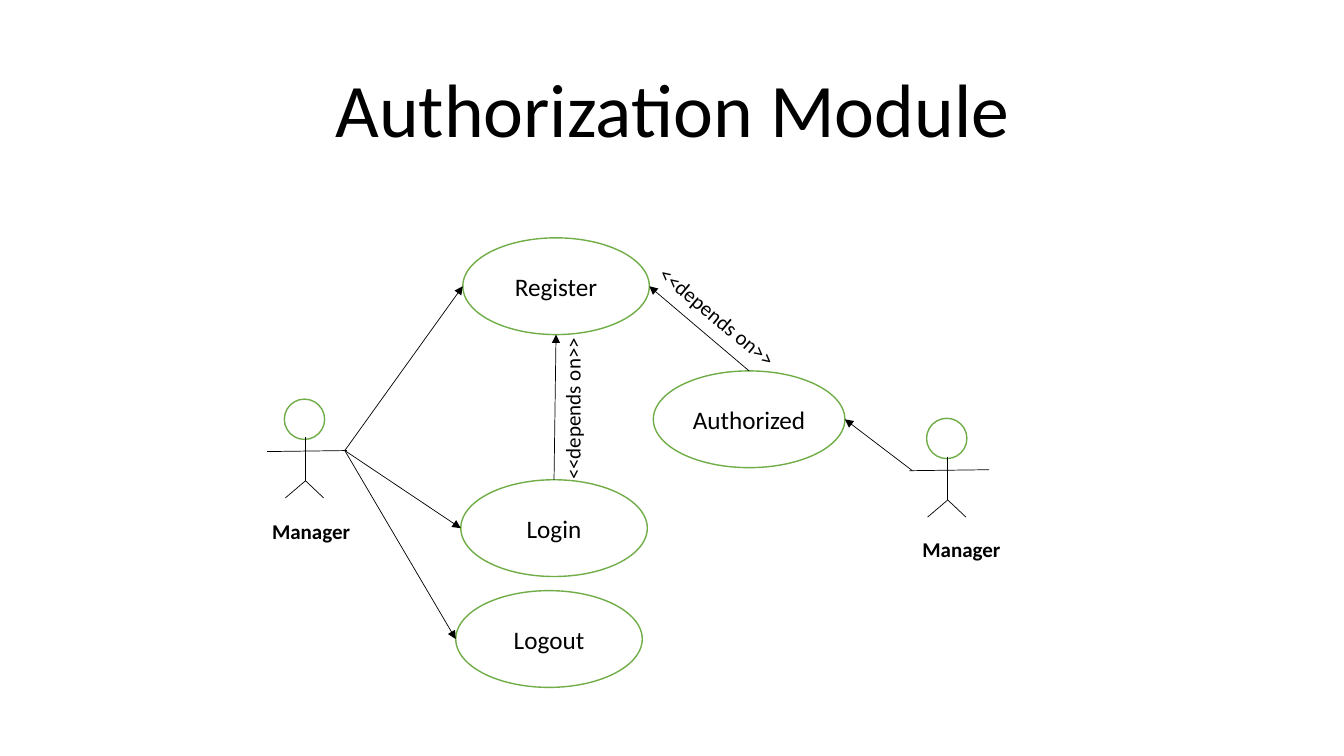
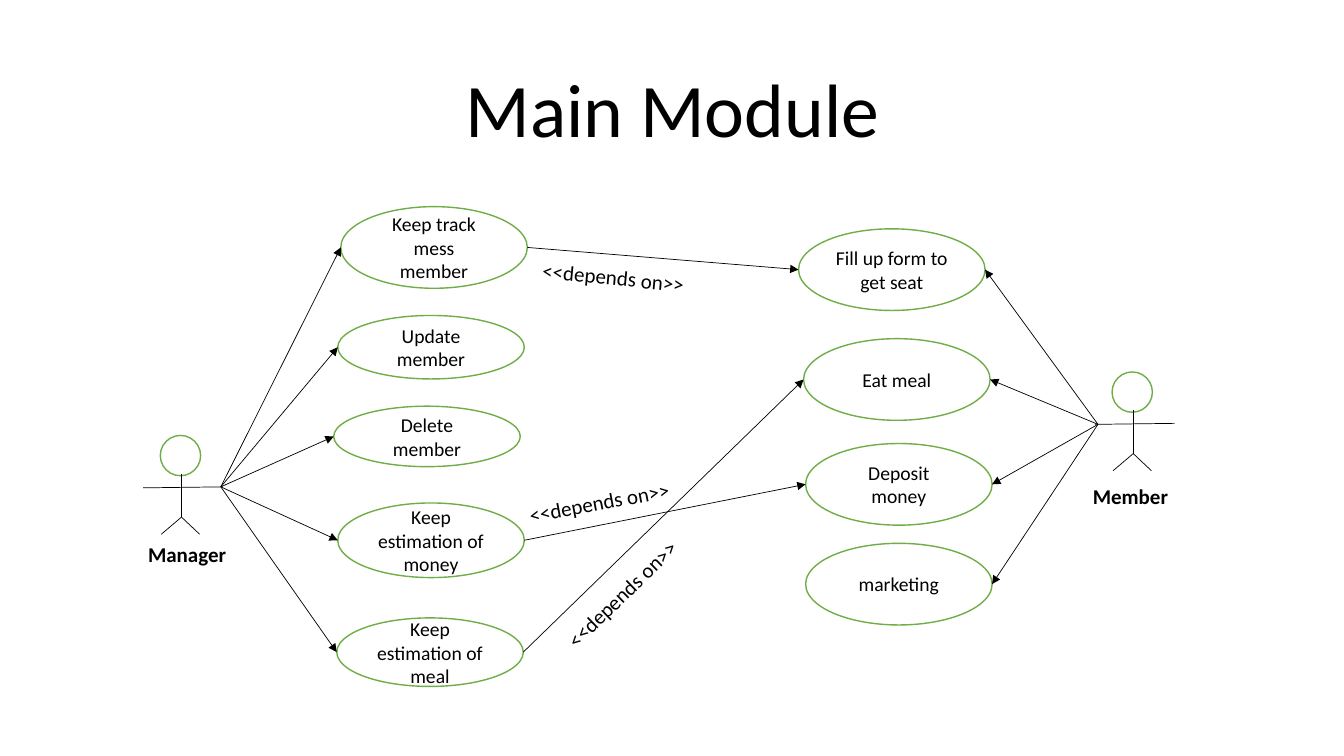
from lxml.etree import SubElement
from pptx import Presentation
from pptx.dml.color import RGBColor
from pptx.enum.shapes import MSO_CONNECTOR, MSO_SHAPE
from pptx.enum.text import MSO_ANCHOR, MSO_AUTO_SIZE, PP_ALIGN
from pptx.oxml.ns import qn
from pptx.util import Inches, Pt

FONT = "Calibri"
BLACK, WHITE, GREEN = "000000", "FFFFFF", "70AD47"
CASE_WIDTH = 1.85
HEAD_SIZE = 0.4
LABEL_HEIGHT = 0.35
DEPENDS_WIDTH = 1.71
LIMBS = [
    ((0.21, 0.38), (0.21, 0.81)),
    ((0.21, 0.81), (0.01, 0.98)),
    ((0.21, 0.81), (0.39, 0.98)),
    ((-0.17, 0.52), (0.62, 0.51)),
]
HANDS = {"left": (-0.14, 0.52), "right": (0.6, 0.51)}
SIDES = {"top": (0.5, 0), "bottom": (0.5, 1), "left": (0, 0.5), "right": (1, 0.5)}

# cases: name -> left, top, width, height
# actors: name, head, label position, hand, reached cases
# dependencies: start case and side, end case and side, label left, top, rotation
MODULES = [
    {
        "title": "Authorization Module",
        "case_size": 18,
        "cases": {
            "Register": (4.59, 2.36, CASE_WIDTH, 0.96),
            "Login": (4.57, 4.76, CASE_WIDTH, 0.96),
            "Authorized": (6.48, 3.68, 1.9, 0.96),
            "Logout": (4.52, 5.86, CASE_WIDTH, 0.96),
        },
        "actors": [
            ("Manager", (2.82, 3.96), (2.6, 5.09), "right", ["Register", "Login", "Logout"]),
            ("Manager", (9.19, 4.15), (9.05, 5.27), "left", ["Authorized"]),
        ],
        "dependencies": [
            ("Login", "top", "Register", "bottom", 4.82, 3.83, 270),
            ("Authorized", "top", "Register", "right", 6.3, 3, 39.9),
        ],
    },
    {
        "title": "Main Module",
        "case_size": 14,
        "cases": {
            "Keep track mess member": (3.38, 2.05, CASE_WIDTH, 0.81),
            "Update member": (3.35, 3.13, CASE_WIDTH, 0.63),
            "Delete member": (3.31, 4.03, CASE_WIDTH, 0.6),
            "Keep estimation of money": (3.35, 4.99, CASE_WIDTH, 0.74),
            "Keep estimation of meal": (3.34, 6.13, CASE_WIDTH, 0.68),
            "Fill up form to get seat": (7.92, 2.27, CASE_WIDTH, 0.81),
            "Eat meal": (7.97, 3.36, CASE_WIDTH, 0.81),
            "Deposit money": (7.99, 4.4, CASE_WIDTH, 0.81),
            "marketing": (7.99, 5.39, CASE_WIDTH, 0.81),
        },
        "actors": [
            ("Manager", (1.59, 4.32), (1.37, 5.32), "right",
             ["Keep track mess member", "Update member", "Delete member",
              "Keep estimation of money", "Keep estimation of meal"]),
            ("Member", (11.03, 3.69), (10.74, 4.75), "left",
             ["Fill up form to get seat", "Eat meal", "Deposit money", "marketing"]),
        ],
        "dependencies": [
            ("Keep track mess member", "right", "Fill up form to get seat", "left", 5.28, 2.58, 5.4),
            ("Keep estimation of money", "right", "Deposit money", "left", 5.14, 4.8, 349.2),
            ("Keep estimation of meal", "right", "Eat meal", "left", 5.35, 5.68, 316),
        ],
    },
]


def color(value):
    return RGBColor.from_string(value)


def write(shape, text, size, bold=False, align=PP_ALIGN.LEFT):
    shape.text_frame.text = text
    shape.text_frame.word_wrap = True
    paragraph = shape.text_frame.paragraphs[0]
    paragraph.alignment = align
    paragraph.font.name = FONT
    paragraph.font.size = Pt(size)
    paragraph.font.bold = bold
    paragraph.font.color.rgb = color(BLACK)
    return paragraph


def add_title(slide, text):
    title = slide.shapes.title
    title.left, title.top = Inches(0.92), Inches(0.4)
    title.width, title.height = Inches(11.5), Inches(1.45)
    title.text_frame.vertical_anchor = MSO_ANCHOR.MIDDLE
    write(title, text, 54, align=PP_ALIGN.CENTER).line_spacing = 0.9


def add_ellipse(slide, box):
    ellipse = slide.shapes.add_shape(MSO_SHAPE.OVAL, *map(Inches, box))
    ellipse.shadow.inherit = False
    ellipse.fill.solid()
    ellipse.fill.fore_color.rgb = color(WHITE)
    ellipse.line.color.rgb = color(GREEN)
    ellipse.line.width = Pt(1)
    return ellipse


def add_case(slide, name, box, size):
    case = add_ellipse(slide, box)
    case.text_frame.vertical_anchor = MSO_ANCHOR.MIDDLE
    write(case, name, size, align=PP_ALIGN.CENTER)


def add_label(slide, text, left, top, width, bold=False, rotation=0):
    label = slide.shapes.add_textbox(*map(Inches, (left, top, width, LABEL_HEIGHT)))
    write(label, text, 15, bold)
    label.text_frame.auto_size = MSO_AUTO_SIZE.SHAPE_TO_FIT_TEXT
    label.rotation = rotation


def add_line(slide, start, end, arrow=False):
    connector = slide.shapes.add_connector(MSO_CONNECTOR.STRAIGHT, *map(Inches, start + end))
    connector.line.color.rgb = color(BLACK)
    connector.line.width = Pt(0.5)
    if arrow:
        SubElement(connector.line._get_or_add_ln(), qn("a:tailEnd"), type="triangle")
    SubElement(connector._element.spPr, qn("a:effectLst"))


def offset(origin, shift):
    return origin[0] + shift[0], origin[1] + shift[1]


def side_point(box, side):
    left, top, width, height = box
    across, down = SIDES[side]
    return left + across * width, top + down * height


def add_actor(slide, name, head, label_position):
    add_ellipse(slide, head + (HEAD_SIZE, HEAD_SIZE))
    for start, end in LIMBS:
        add_line(slide, offset(head, start), offset(head, end))
    add_label(slide, name, *label_position, 1.1, bold=True)


def add_module(presentation, module):
    slide = presentation.slides.add_slide(presentation.slide_layouts[5])
    add_title(slide, module["title"])
    cases = module["cases"]
    for name, box in cases.items():
        add_case(slide, name, box, module["case_size"])
    for name, head, label_position, hand, reached in module["actors"]:
        add_actor(slide, name, head, label_position)
        facing_side = "left" if hand == "right" else "right"
        for case in reached:
            add_line(slide, offset(head, HANDS[hand]), side_point(cases[case], facing_side), arrow=True)
    for source, source_side, target, target_side, left, top, rotation in module["dependencies"]:
        add_line(slide, side_point(cases[source], source_side),
                 side_point(cases[target], target_side), arrow=True)
        add_label(slide, "<<depends on>>", left, top, DEPENDS_WIDTH, rotation=rotation)


presentation = Presentation()
presentation.slide_width = Inches(13.33)
presentation.slide_height = Inches(7.5)
for module in MODULES:
    add_module(presentation, module)
presentation.save("out.pptx")
